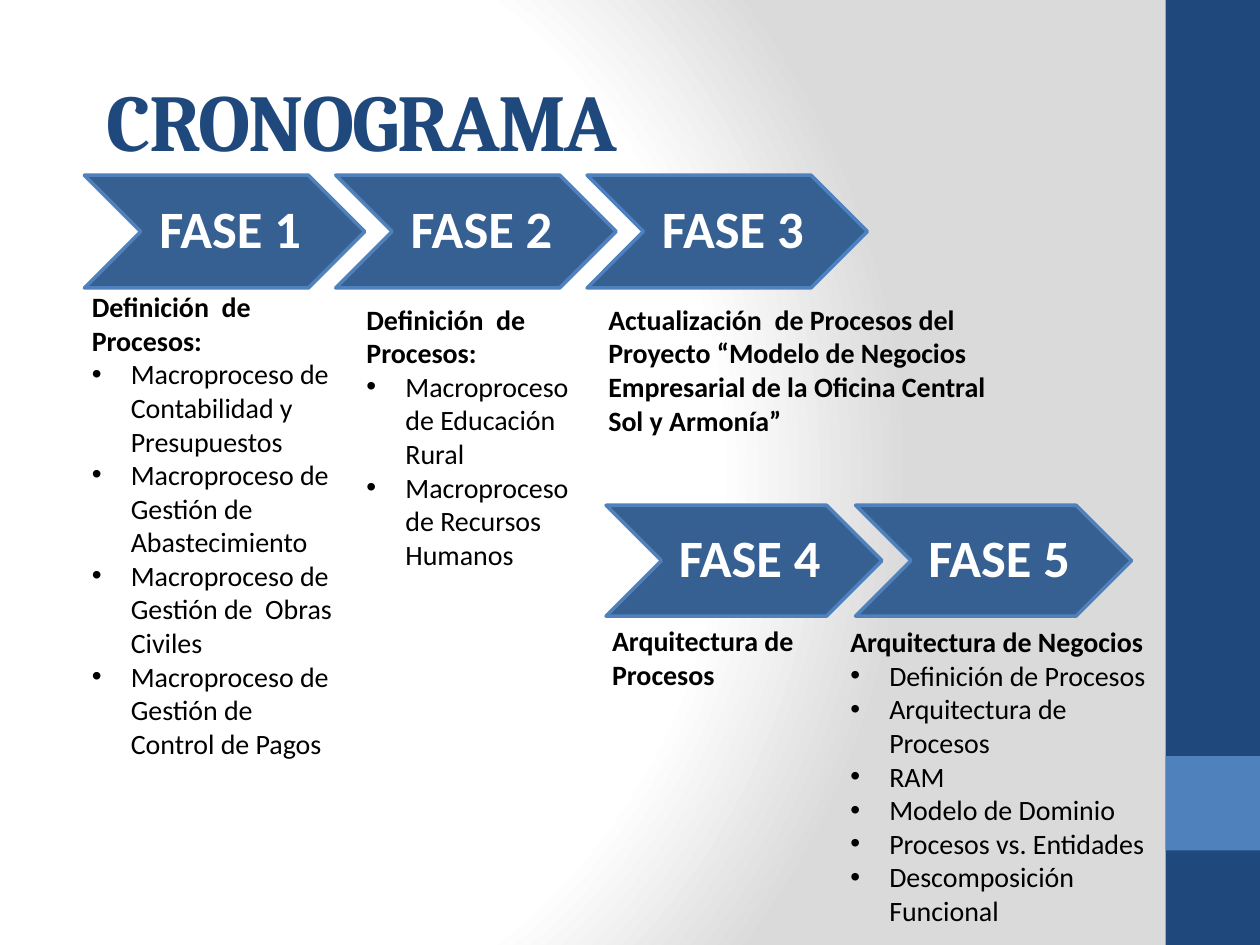
from dataclasses import dataclass

from pptx import Presentation
from pptx import util as u
from pptx.dml.color import RGBColor
from pptx.enum import shapes, text
from pptx.oxml import parse_xml

NS = 'xmlns:a="http://schemas.openxmlformats.org/drawingml/2006/main"'
COLS, ROWS = 40, 30
WIDE, HIGH = u.Inches(10), u.Inches(7.5)


@dataclass(frozen=True)
class Theme:
    navy: str = "1F497D"
    blue: str = "4F81BD"
    steel: str = "376092"
    white: str = "FFFFFF"
    grey: str = "DADADA"
    black: str = "000000"
    head: str = "Cambria"
    body: str = "Calibri"
    title: int = 46
    phase: int = 30
    note: int = 16
    edge: int = 2


T = Theme()

# Each row of phases: its box, the step between phases, and the names
CHAINS = [
    ((2.68, 5.56, 8.9, 3.58), 7.98, ["FASE 1", "FASE 2", "FASE 3"]),
    ((19.24, 16.04, 8.76, 3.52), 7.92, ["FASE 4", "FASE 5"]),
]
NOTES = [
    ((2.52, 9, 8.44, 17.92), "Definición  de Procesos:", [
        "Macroproceso de Contabilidad y Presupuestos",
        "Macroproceso de Gestión de Abastecimiento",
        "Macroproceso de Gestión de  Obras Civiles",
        "Macroproceso de Gestión de Control de Pagos"]),
    ((11.24, 9.4, 7.8, 11.44), "Definición  de Procesos:", [
        "Macroproceso de Educación Rural",
        "Macroproceso de Recursos Humanos"]),
    ((18.92, 9.4, 12.96, 5.92),
     "Actualización  de Procesos del Proyecto “Modelo de Negocios "
     "Empresarial de la Oficina Central Sol y Armonía”", []),
    ((19.04, 19.6, 9.32, 2.56), "Arquitectura de Procesos", []),
    ((26.6, 19.64, 10.52, 10.36), "Arquitectura de Negocios", [
        "Definición de Procesos", "Arquitectura de Procesos", "RAM",
        "Modelo de Dominio", "Procesos vs. Entidades",
        "Descomposición Funcional"]),
]


def place(box):
    """Turn a box in columns and rows into slide lengths."""
    x, y, w, h = box
    return [round(n) for n in (x * WIDE / COLS, y * HIGH / ROWS,
                               w * WIDE / COLS, h * HIGH / ROWS)]


def style(item, **vals):
    for key, val in vals.items():
        setattr(item, key, val)


def write(para, words, face, size, tint, bold=True):
    run = para.add_run()
    run.text = words
    style(run.font, name=face, size=u.Pt(size), bold=bold)
    run.font.color.rgb = RGBColor.from_string(tint)
    return run


def draw(slide, kind, box, fill, line=None):
    shape = slide.shapes.add_shape(kind, *place(box))
    shape.shadow.inherit = False
    shape.fill.solid()
    shape.fill.fore_color.rgb = RGBColor.from_string(fill)
    if line:
        shape.line.color.rgb = RGBColor.from_string(line)
        shape.line.width = u.Pt(T.edge)
    else:
        shape.line.fill.background()
    return shape


def frame(slide, box, **vals):
    area = slide.shapes.add_textbox(*place(box)).text_frame
    style(area, word_wrap=True, **vals)
    return area


def backdrop(slide):
    """Lay a round fade from white to grey behind the slide."""
    slide.background.fill.solid()
    stops = "".join(
        f'<a:gs pos="{pos * 1000}"><a:srgbClr val="{tint}"/></a:gs>'
        for pos, tint in [(0, T.white), (75, T.white), (100, T.grey)])
    fade = parse_xml(
        f'<a:gradFill {NS} rotWithShape="1"><a:gsLst>{stops}</a:gsLst>'
        '<a:path path="circle"><a:fillToRect l="20000" t="50000" '
        'r="100000" b="50000"/></a:path></a:gradFill>')
    props = slide.background._cSld.bg.bgPr
    props.replace(props[0], fade)


def sidebar(slide, box):
    x, y, w, h = box
    rect = shapes.MSO_SHAPE.RECTANGLE
    draw(slide, rect, box, T.navy)
    draw(slide, rect, (x, y + 0.8 * h, w, 0.1 * h), T.blue)


def title(slide, box, words):
    area = frame(slide, box, vertical_anchor=text.MSO_ANCHOR.MIDDLE)
    run = write(area.paragraphs[0], words, T.head, T.title, T.navy)
    run.font._element.set("spc", "-100")


def chain(slide, box, step, names):
    """Set phases side by side; box is that of the first one."""
    x, y, w, h = box
    for i, name in enumerate(names):
        shape = draw(slide, shapes.MSO_SHAPE.CHEVRON,
                     (x + i * step, y, w, h), T.steel, T.blue)
        area = shape.text_frame
        pad = u.Inches(0.04)
        style(area, word_wrap=False, vertical_anchor=text.MSO_ANCHOR.MIDDLE,
              margin_left=u.Inches(0.13), margin_right=pad,
              margin_top=pad, margin_bottom=pad)
        para = area.paragraphs[0]
        style(para, alignment=text.PP_ALIGN.CENTER, line_spacing=0.9)
        write(para, name, T.body, T.phase, T.white)


def note(slide, box, head, points):
    area = frame(slide, box)
    write(area.paragraphs[0], head, T.body, T.note, T.black)
    for point in points:
        para = area.add_paragraph()
        props = para._p.get_or_add_pPr()
        inset = u.Inches(0.31)
        props.set("marL", str(inset))
        props.set("indent", str(-inset))
        props.append(parse_xml(f'<a:buFont {NS} typeface="Arial"/>'))
        props.append(parse_xml(f'<a:buChar {NS} char="•"/>'))
        write(para, point, T.body, T.note, T.black, bold=False)


def main():
    deck = Presentation()
    style(deck, slide_width=WIDE, slide_height=HIGH)
    slide = deck.slides.add_slide(deck.slide_layouts[6])
    backdrop(slide)
    sidebar(slide, (37, 0, 3, ROWS))
    for row in CHAINS:
        chain(slide, *row)
    for part in NOTES:
        note(slide, *part)
    title(slide, (3, 1.76, 33.08, 4.04), "CRONOGRAMA")
    deck.save("out.pptx")


if __name__ == "__main__":
    main()
